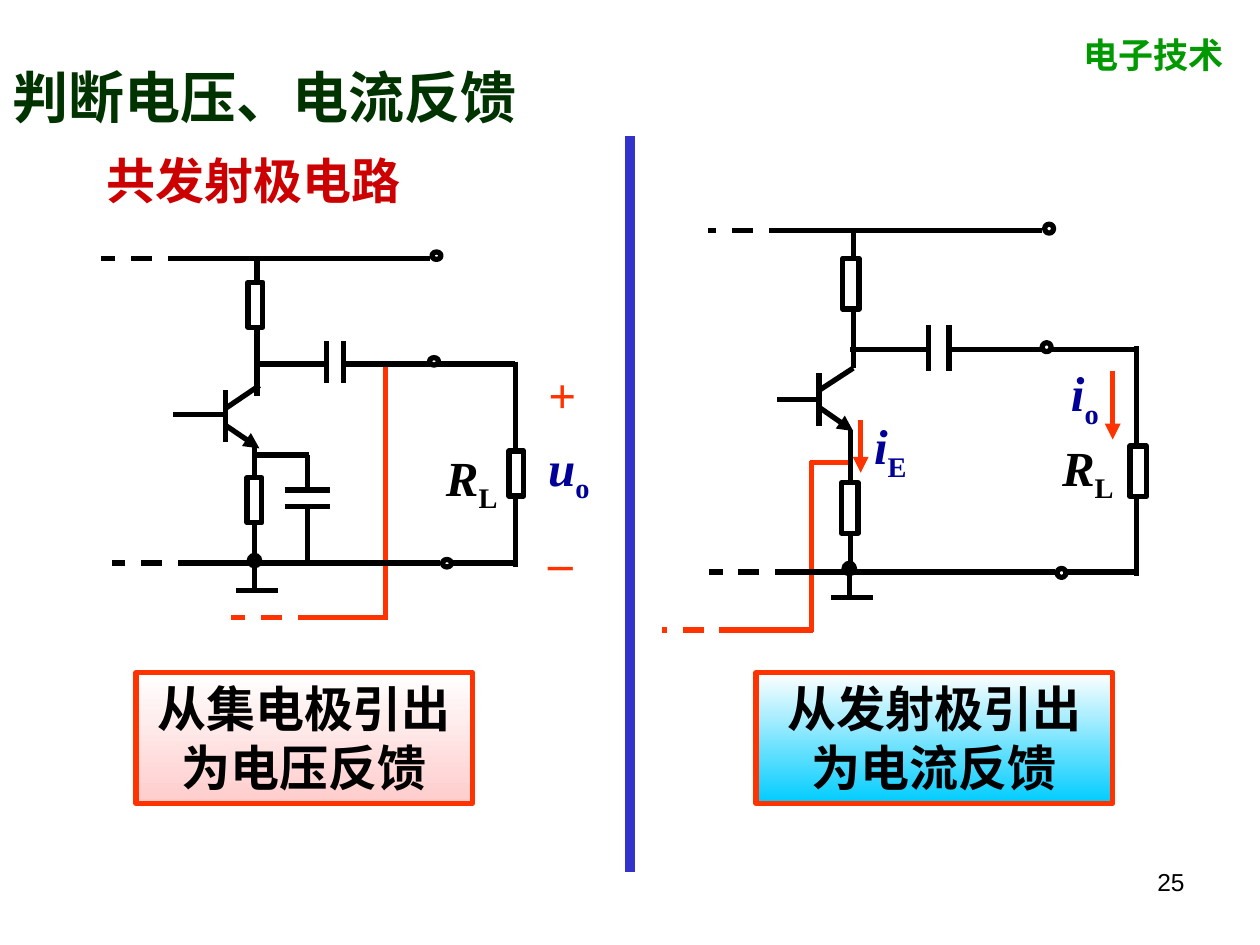
"""Build the slide that compares voltage and current feedback in a common-emitter stage."""
import lxml.etree
import pptx
import pptx.dml.color
import pptx.enum.dml
import pptx.enum.shapes
import pptx.enum.text
import pptx.oxml.ns
import pptx.util

Cm = pptx.util.Cm
Shapes = pptx.enum.shapes.MSO_SHAPE
Align = pptx.enum.text.PP_ALIGN
qn = pptx.oxml.ns.qn

theme = {
    "black": "000000", "white": "FFFFFF", "signal": "FF3300", "symbol": "000099",
    "divider": "3333CC", "title": "003300", "subtitle": "CC0000", "course": "009900",
    "pink": "FFCCCC", "cyan": "00CCFF",
    "title_size": 32, "body_size": 28, "course_size": 20, "number_size": 14, "line": 3,
    "serif": "Times New Roman", "chinese": "Noto Sans CJK SC", "sans": "Arial",
}


def rgb(name):
    return pptx.dml.color.RGBColor.from_string(theme[name])


def draw_line(x1, y1, x2, y2, color="black", width=theme["line"], dashed=False, end=None):
    line = slide.shapes.add_connector(
        pptx.enum.shapes.MSO_CONNECTOR.STRAIGHT, Cm(x1), Cm(y1), Cm(x2), Cm(y2))
    line.line.color.rgb = rgb(color)
    line.line.width = pptx.util.Pt(width)
    if dashed:
        line.line.dash_style = pptx.enum.dml.MSO_LINE.DASH
    if end:
        tag, kind = end
        lxml.etree.SubElement(line.line._get_or_add_ln(), qn(tag), type=kind)
    lxml.etree.SubElement(line._element.spPr, qn("a:effectLst"))


arrow = ("a:tailEnd", "triangle")
junction = ("a:headEnd", "oval")

presentation = pptx.Presentation()
presentation.slide_width, presentation.slide_height = Cm(25.4), Cm(19.05)
slide = presentation.slides.add_slide(presentation.slide_layouts[6])

draw_line(12.7, 2.74, 12.7, 17.58, "divider", 6)

feedback_wires = [
    (7.77, 7.29, 7.77, 12.5, False), (7.77, 12.45, 6.1, 12.45, False),
    (6.43, 12.45, 4.65, 12.45, True),
    (16.36, 9.3, 16.36, 12.75, False), (16.38, 12.7, 14.53, 12.7, False),
    (15.67, 12.7, 13.34, 12.7, True), (16.33, 9.32, 17.09, 9.32, False),
]
for x1, y1, x2, y2, dashed in feedback_wires:
    draw_line(x1, y1, x2, y2, "signal", dashed=dashed)

circuits = [
    {
        "wires": [
            (5.13, 8.99, 5.13, 11.33), (5.18, 7.98, 5.18, 5.18),
            (5.13, 7.34, 8.66, 7.34), (8.79, 7.34, 10.39, 7.34),
            (8.66, 5.21, 3.78, 5.21), (8.86, 11.35, 3.78, 11.35),
            (9.09, 11.35, 10.39, 11.35), (10.39, 7.29, 10.39, 11.43),
            (5.13, 9.17, 6.22, 9.17), (6.2, 9.17, 6.2, 9.88), (6.2, 10.19, 6.2, 11.35),
        ],
        "dashes": [(3.81, 5.21, 2.03), (4.01, 11.35, 2.26)],
        "transistor": [(4.55, 7.87, 4.55, 8.92), (4.55, 8.23, 5.23, 7.77),
                       (4.55, 8.36, 3.48, 8.36)],
        "emitter": (4.57, 8.59, 5.23, 9.04),
        "terminals": [(8.71, 5.08), (8.66, 7.21), (8.92, 11.28)],
        "terminal_size": (0.18, 0.15),
        "resistors": [(5.0, 5.69), (4.98, 9.63), (10.26, 9.09)],
        "resistor_size": (0.3, 0.91),
        "gaps": [(6.63, 6.93, 0.3, 0.74), (5.79, 9.91, 0.84, 0.28)],
        "plates": [(6.58, 6.88, 6.58, 7.72), (6.93, 6.88, 6.93, 7.72),
                   (5.74, 9.88, 6.65, 9.88), (5.74, 10.21, 6.65, 10.21)],
        "ground": (5.13, 11.3, 5.13, 11.94),
        "ground_bar": (4.75, 11.91, 5.61, 11.91),
    },
    {
        "wires": [
            (17.14, 8.66, 17.14, 11.53), (17.2, 7.42, 17.2, 4.67),
            (17.14, 7.04, 21.01, 7.04), (21.16, 7.04, 22.91, 7.04),
            (21.01, 4.65, 15.67, 4.65), (21.26, 11.53, 15.67, 11.53),
            (21.49, 11.53, 22.91, 11.53), (22.91, 6.98, 22.91, 11.61),
        ],
        "dashes": [(16.66, 4.65, 14.27), (16.05, 11.53, 14.3)],
        "transistor": [(16.51, 7.52, 16.51, 8.59), (16.51, 7.87, 17.2, 7.42),
                       (16.51, 8.05, 15.67, 8.05)],
        "emitter": (16.54, 8.23, 17.2, 8.69),
        "terminals": [(21.06, 4.52), (21.01, 6.91), (21.31, 11.46)],
        "terminal_size": (0.18, 0.18),
        "resistors": [(16.99, 5.21), (16.97, 9.73), (22.78, 8.99)],
        "resistor_size": (0.33, 1.02),
        "gaps": [(18.77, 6.58, 0.33, 0.84)],
        "plates": [(18.72, 6.55, 18.72, 7.47), (19.13, 6.55, 19.13, 7.47)],
        "ground": (17.12, 11.46, 17.12, 12.09),
        "ground_bar": (16.76, 12.04, 17.6, 12.04),
    },
]
for circuit in circuits:
    for wire in circuit["wires"] + circuit["transistor"]:
        draw_line(*wire)
    for x1, y, x2 in circuit["dashes"]:
        draw_line(x1, y, x2, y, dashed=True)
    draw_line(*circuit["emitter"], end=arrow)
    parts = [(Shapes.OVAL, (*place, *circuit["terminal_size"]), None, "black")
             for place in circuit["terminals"]]
    parts += [(Shapes.RECTANGLE, (*place, *circuit["resistor_size"]), "white", "black")
              for place in circuit["resistors"]]
    parts += [(Shapes.RECTANGLE, gap, "white", "white") for gap in circuit["gaps"]]
    for kind, box, fill, outline in parts:
        shape = slide.shapes.add_shape(kind, *map(Cm, box))
        shape.shadow.inherit = False
        shape.line.color.rgb = rgb(outline)
        shape.line.width = pptx.util.Pt(theme["line"])
        if fill:
            shape.fill.solid()
            shape.fill.fore_color.rgb = rgb(fill)
        else:
            shape.fill.background()
    for plate in circuit["plates"]:
        draw_line(*plate)
    draw_line(*circuit["ground"], end=junction)
    draw_line(*circuit["ground_bar"])

for x, top, bottom in [(22.43, 7.47, 8.86), (17.35, 8.46, 9.53)]:
    draw_line(x, top, x, bottom, "signal", end=arrow)

texts = [
    ((21.59, 0.56, 3.68, 1.12), ["电子技术"], "course", "course_size", "serif", Align.LEFT),
    ((0, 1.14, 13.77, 1.63), ["判断电压、电流反馈"], "title", "title_size", "serif", Align.LEFT),
    ((1.9, 2.9, 7.42, 1.45), ["共发射极电路"], "subtitle", "body_size", "chinese", Align.LEFT),
    ((2.74, 13.56, 6.78, 2.64), ["从集电极引出为电压反馈"], "black", "body_size", "chinese", Align.CENTER),
    ((15.24, 13.56, 7.19, 2.64), ["从发射极引出为电流反馈"], "black", "body_size", "chinese", Align.CENTER),
    ((10.8, 8.69, 2.46, 1.6), ["u", "o"], "symbol", "body_size", "serif", Align.LEFT),
    ((8.74, 8.89, 2.46, 1.6), ["R", "L"], "black", "body_size", "serif", Align.LEFT),
    ((21.16, 8.69, 2.72, 1.6), ["R", "L"], "black", "body_size", "serif", Align.LEFT),
    ((21.34, 7.19, 1.73, 1.6), ["i", "o"], "symbol", "body_size", "serif", Align.LEFT),
    ((17.37, 8.26, 2.08, 1.6), ["i", "E"], "symbol", "body_size", "serif", Align.LEFT),
    ((10.8, 7.21, 1.07, 1.45), ["+"], "signal", "body_size", "serif", Align.CENTER),
    ((10.8, 10.59, 0.99, 1.45), ["–"], "signal", "body_size", "serif", Align.CENTER),
    ((18.21, 17.35, 5.92, 1.32), ["25"], "black", "number_size", "sans", Align.RIGHT),
]
gradients = {"从集电极引出为电压反馈": "pink", "从发射极引出为电流反馈": "cyan"}
for box, runs, color, size, font, alignment in texts:
    if runs[0] in gradients:
        shape = slide.shapes.add_shape(Shapes.RECTANGLE, *map(Cm, box))
        shape.shadow.inherit = False
        shape.line.color.rgb = rgb("signal")
        shape.line.width = pptx.util.Pt(theme["line"])
        shape.fill.gradient()
        shape.fill.gradient_angle = 270
        for stop, position, name in zip(shape.fill.gradient_stops, (0, 1), ("white", gradients[runs[0]])):
            stop.position = position
            stop.color.rgb = rgb(name)
    else:
        shape = slide.shapes.add_textbox(*map(Cm, box))
    frame = shape.text_frame
    is_sign = runs[0] in "+–"
    frame.word_wrap = not is_sign
    frame.vertical_anchor = (pptx.enum.text.MSO_ANCHOR.MIDDLE if is_sign
                             else pptx.enum.text.MSO_ANCHOR.TOP)
    paragraph = frame.paragraphs[0]
    paragraph.alignment = alignment
    for index, words in enumerate(runs):
        run = paragraph.add_run()
        run.text = words
        run.font.size = pptx.util.Pt(theme[size])
        run.font.bold = font != "sans"
        run.font.italic = len(runs) == 2 and index == 0
        run.font.color.rgb = rgb(color)
        run.font.name = theme[font]
        properties = run._r.get_or_add_rPr()
        lxml.etree.SubElement(properties, qn("a:ea"), typeface=theme["chinese"])
        if index == 1:
            properties.set("baseline", "-25000")

presentation.save("out.pptx")
